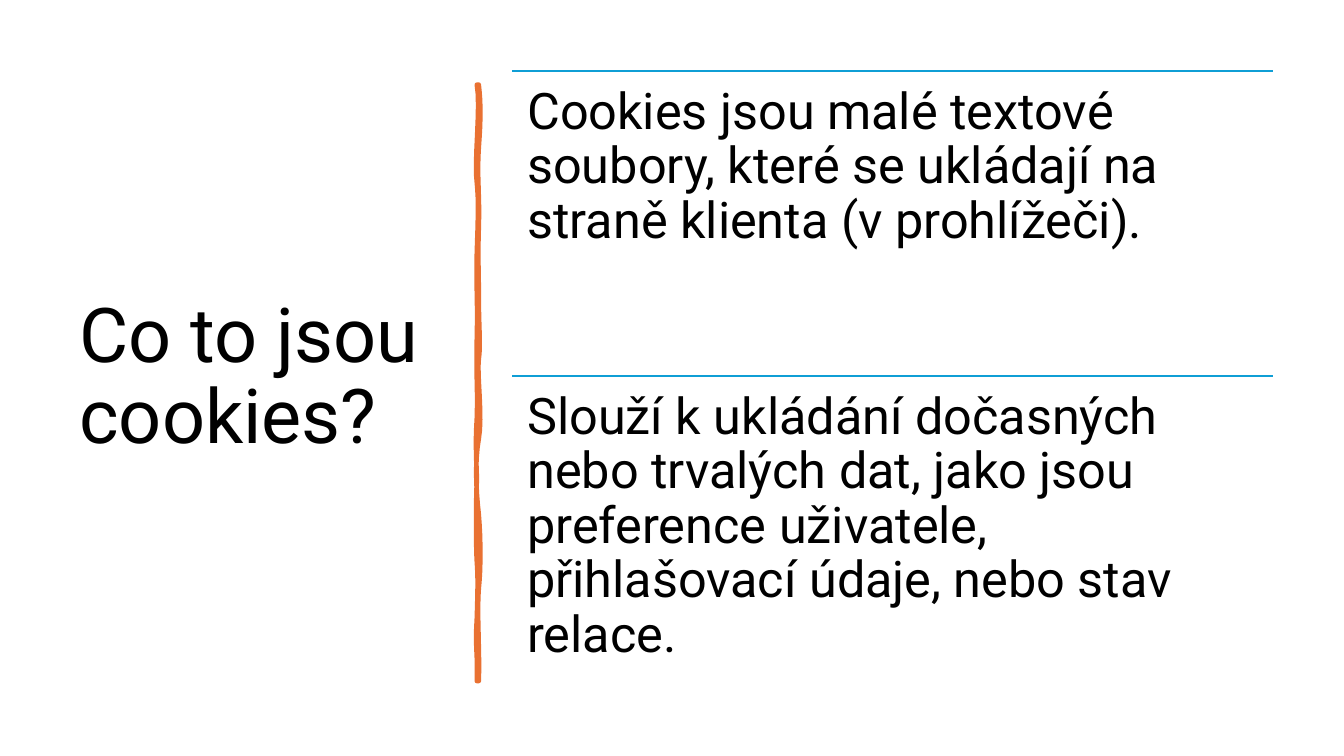
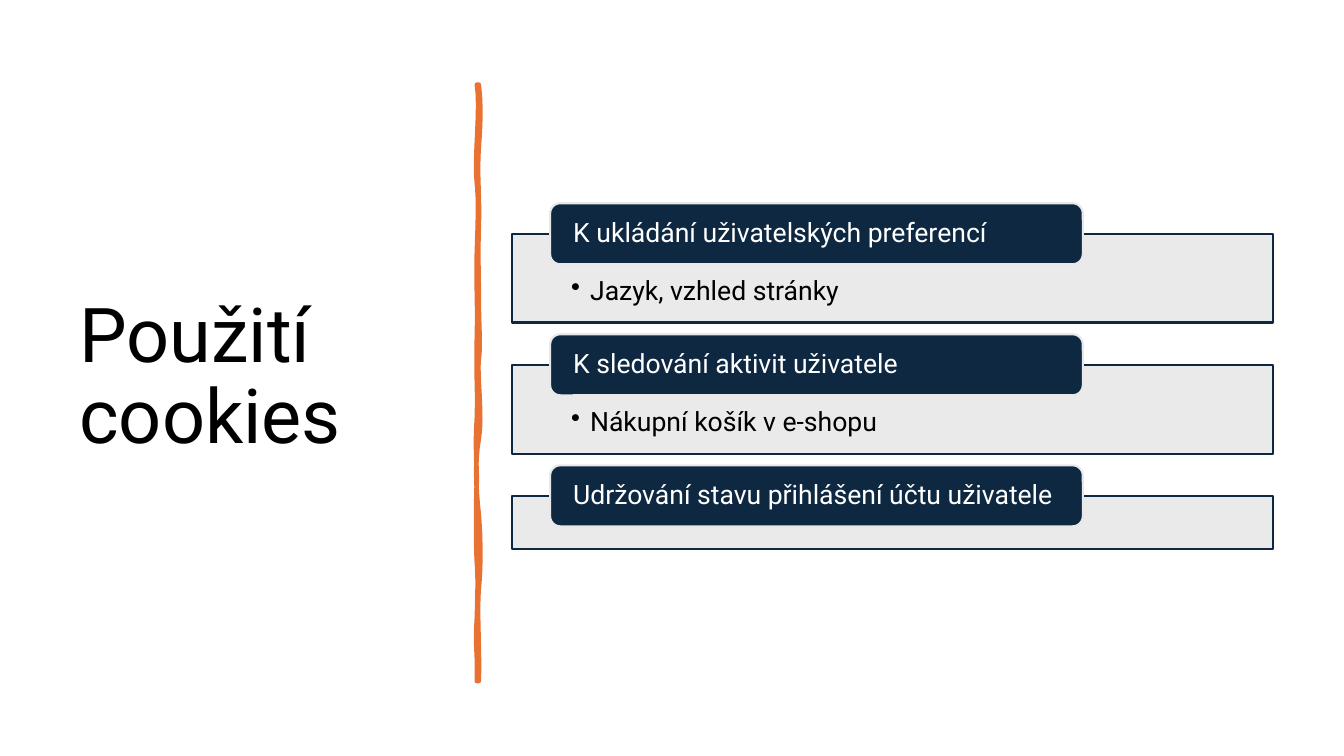
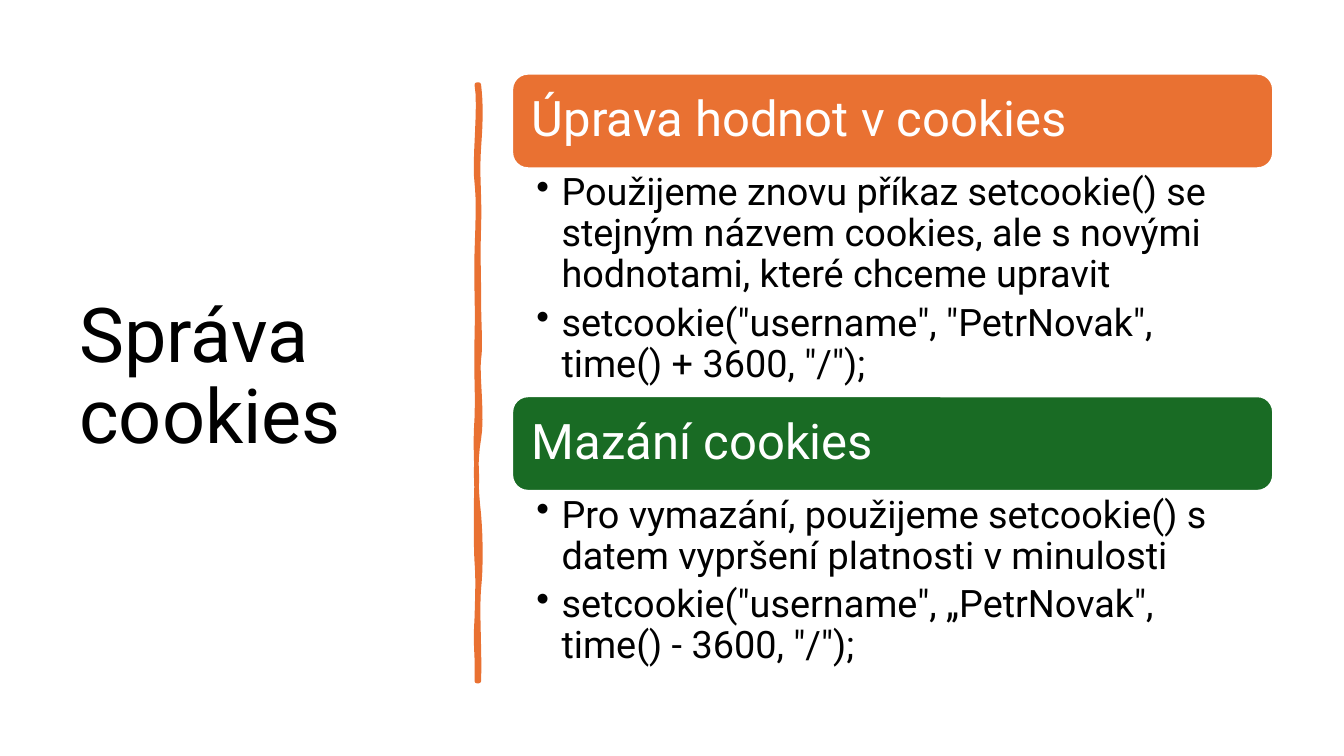
from collections import namedtuple

from lxml.etree import SubElement
from pptx import Presentation
from pptx.dml.color import RGBColor
from pptx.enum.shapes import MSO_CONNECTOR, MSO_SHAPE
from pptx.enum.text import MSO_ANCHOR, PP_ALIGN
from pptx.oxml.ns import qn
from pptx.util import Pt

Box = namedtuple("Box", "left top width height")

FONT = "Roboto"
BLACK, WHITE = "000000", "FFFFFF"
ORANGE, GREEN, BLUE, NAVY, GREY = "E97132", "196B24", "0F9ED5", "0E2841", "E8E8E8"

TITLE_BOX = Box(49.7, 50.4, 269.3, 440)
STROKE_BOX = Box(340.6, 60.5, 1.4, 426)
CONTENT_BOX = Box(365.8, 50.4, 543.6, 436)

# Bezier segments of the brush stroke: two control points, then the end height.
RIGHT_EDGE = [
    (2.9, 13, 2.9, 25, 45), (0, 64, 2.2, 80, 102), (0.7, 125, 1.4, 128, 151),
    (1.4, 174, 2.9, 186, 196), (0, 206, 4.3, 238, 253), (-1.4, 269, -0.7, 288, 307),
    (2.9, 325, 2.9, 346, 360), (0, 374, 2.2, 408, 426),
]
LEFT_EDGE = [
    (0.7, 405, -1.4, 403, 381), (0.7, 359, 0.7, 350, 341), (-0.7, 331, -0.7, 296, 283),
    (0, 270, -1.4, 260, 238), (0.7, 217, -0.7, 208, 181), (0.7, 154, -0.7, 142, 120),
    (0.7, 97, 1.4, 84, 70), (-2.2, 57, 2.9, 14, 0),
]


def color(hex_code):
    return RGBColor.from_string(hex_code)


def points(values):
    return [Pt(value) for value in values]


def write_text(shape, *texts, size, ink=BLACK, insets=(7.2, 3.6, 7.2, 3.6),
               anchor=MSO_ANCHOR.TOP, bullet_indent=0, space_after=0):
    """Fill the shape with one paragraph per text; insets run left, top, right, bottom."""
    frame = shape.text_frame
    frame.word_wrap = True
    frame.vertical_anchor = anchor
    (frame.margin_left, frame.margin_top,
     frame.margin_right, frame.margin_bottom) = points(insets)
    for index, text in enumerate(texts):
        paragraph = frame.add_paragraph() if index else frame.paragraphs[0]
        if bullet_indent:
            properties = paragraph._p.get_or_add_pPr()
            properties.set("marL", str(Pt(bullet_indent)))
            properties.set("indent", str(-Pt(bullet_indent)))
            SubElement(properties, qn("a:buChar")).set("char", "•")
        paragraph.alignment = PP_ALIGN.LEFT
        paragraph.line_spacing = 0.9
        paragraph.space_after = Pt(space_after)
        run = paragraph.add_run()
        run.text = text
        run.font.name = FONT
        run.font.size = Pt(size)
        run.font.color.rgb = color(ink)


def add_text(slide, box, *texts, **text_format):
    write_text(slide.shapes.add_textbox(*points(box)), *texts, **text_format)


def paint(shape, fill, line, line_width=1.5):
    shape.shadow.inherit = False
    shape.fill.solid()
    shape.fill.fore_color.rgb = color(fill)
    shape.line.color.rgb = color(line)
    shape.line.width = Pt(line_width)


def add_panel(slide, preset, box, fill, line):
    shape = slide.shapes.add_shape(preset, *points(box))
    paint(shape, fill, line)
    return shape


def edge_points(segments, x, y, steps=8):
    """Yield points along Bezier segments that all end at the same x."""
    for x1, y1, x2, y2, end in segments:
        for step in range(1, steps + 1):
            t = step / steps
            u = 1 - t
            weights = u ** 3, 3 * u * u * t, 3 * u * t * t, t ** 3
            yield tuple(Pt(sum(w * value for w, value in zip(weights, values)))
                        for values in ((x, x1, x2, x), (y, y1, y2, end)))
        y = end


def add_brush_stroke(slide, box):
    builder = slide.shapes.build_freeform(Pt(box.width), 0)
    builder.add_line_segments(edge_points(RIGHT_EDGE, box.width, 0), close=False)
    builder.add_line_segments([(0, Pt(box.height))], close=False)
    builder.add_line_segments(edge_points(LEFT_EDGE, 0, box.height), close=True)
    stroke = builder.convert_to_shape(Pt(box.left), Pt(box.top))
    paint(stroke, ORANGE, ORANGE, 3.25)
    SubElement(stroke.line._get_or_add_ln(), qn("a:round"))


def add_titled_slide(presentation, title):
    slide = presentation.slides.add_slide(presentation.slide_layouts[6])
    add_text(slide, TITLE_BOX, title, size=54, anchor=MSO_ANCHOR.MIDDLE)
    add_brush_stroke(slide, STROKE_BOX)
    return slide


def add_ruled_statements(slide, box, statements):
    """Split the box into equal rows, each a rule with a statement below it."""
    height = box.height / len(statements)
    for index, statement in enumerate(statements):
        row = Box(box.left, box.top + index * height, box.width, height)
        rule = slide.shapes.add_connector(MSO_CONNECTOR.STRAIGHT, *points(
            (row.left, row.top, row.left + row.width, row.top)))
        rule.line.color.rgb = color(BLUE)
        rule.line.width = Pt(1.5)
        SubElement(rule._element.spPr, qn("a:effectLst"))
        add_text(slide, row, statement, size=36, insets=(10.8,) * 4)


def add_tabbed_panels(slide, box, panels):
    """Stack grey panels, each with a navy tab across its upper edge."""
    tab_height, gap = 43.6, 30.2
    top = box.top + 116.6
    for heading, detail in panels:
        height = 63.4 if detail else 37.8
        panel = add_panel(slide, MSO_SHAPE.RECTANGLE,
                          Box(box.left, top, box.width, height), GREY, NAVY)
        tint = panel.fill._xPr.find(qn("a:solidFill"))[0]
        SubElement(tint, qn("a:alpha")).set("val", "90000")
        if detail:
            write_text(panel, detail, size=19, bullet_indent=13.5,
                       insets=(42.2, 31, 42.2, 10.8))
        tab = add_panel(slide, MSO_SHAPE.ROUNDED_RECTANGLE,
                        Box(box.left + box.width * 0.05, top - tab_height / 2,
                            box.width * 0.7, tab_height), NAVY, GREY)
        write_text(tab, heading, size=19, ink=WHITE, insets=(14.4, 0, 14.4, 0),
                   anchor=MSO_ANCHOR.MIDDLE)
        top += height + gap


def add_headed_lists(slide, box, sections):
    """Stack coloured headings, each followed by a bulleted list."""
    heading_height = 67.6
    top = box.top + 2.2
    for heading, fill, list_height, items in sections:
        bar = add_panel(slide, MSO_SHAPE.ROUNDED_RECTANGLE,
                        Box(box.left, top, box.width, heading_height), fill, WHITE)
        write_text(bar, heading, size=35, ink=WHITE, insets=(10.8,) * 4,
                   anchor=MSO_ANCHOR.MIDDLE)
        top += heading_height
        add_text(slide, Box(box.left, top, box.width, list_height), *items, size=27,
                 bullet_indent=18, space_after=5.4, insets=(17.3, 3.6, 19.4, 3.6))
        top += list_height


def main():
    presentation = Presentation()
    presentation.slide_width, presentation.slide_height = Pt(960), Pt(540)

    add_ruled_statements(
        add_titled_slide(presentation, "Co to jsou cookies?"), CONTENT_BOX, [
            "Cookies jsou malé textové soubory, které se ukládají na straně klienta "
            "(v prohlížeči).",
            "Slouží k ukládání dočasných nebo trvalých dat, jako jsou preference "
            "uživatele, přihlašovací údaje, nebo stav relace.",
        ])
    add_tabbed_panels(
        add_titled_slide(presentation, "Použití cookies"), CONTENT_BOX, [
            ("K ukládání uživatelských preferencí", "Jazyk, vzhled stránky"),
            ("K sledování aktivit uživatele", "Nákupní košík v e-shopu"),
            ("Udržování stavu přihlášení účtu uživatele", None),
        ])
    add_headed_lists(
        add_titled_slide(presentation, "Správa cookies"), CONTENT_BOX, [
            ("Úprava hodnot v cookies", ORANGE, 162.8, [
                "Použijeme znovu příkaz setcookie() se stejným názvem cookies, "
                "ale s novými hodnotami, které chceme upravit",
                'setcookie("username", "PetrNovak", time() + 3600, "/");',
            ]),
            ("Mazání cookies", GREEN, 134, [
                "Pro vymazání, použijeme setcookie() s datem vypršení platnosti "
                "v minulosti",
                'setcookie("username", „PetrNovak", time() - 3600, "/");',
            ]),
        ])
    presentation.save("out.pptx")


if __name__ == "__main__":
    main()
